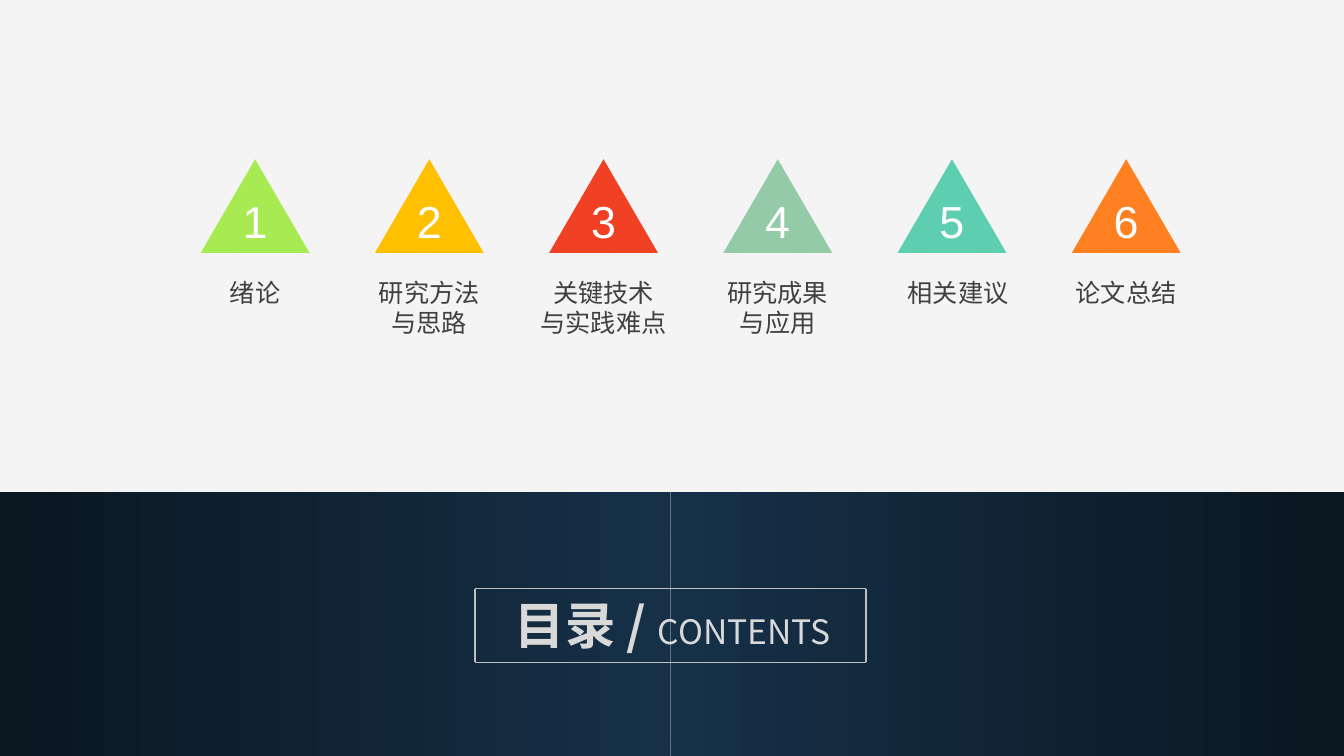
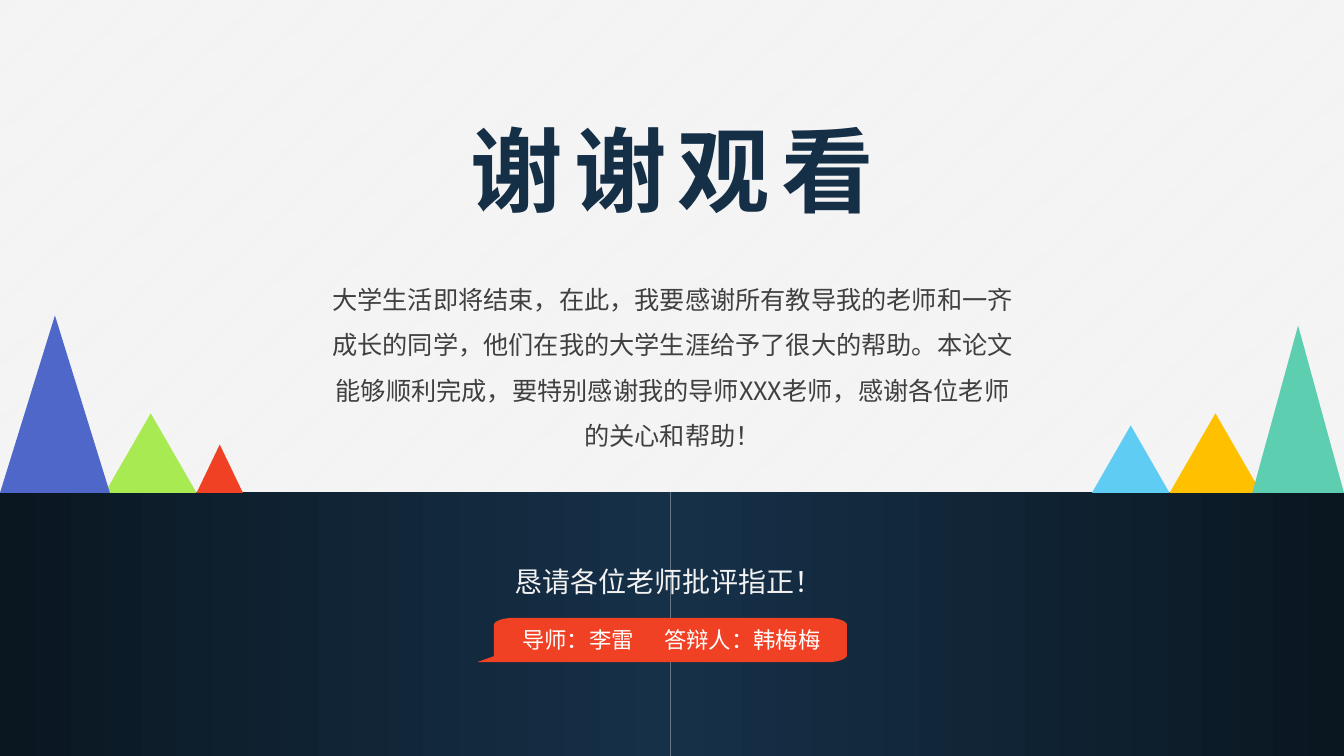
from math import cos, pi, sin

from lxml import etree
from pptx import Presentation
from pptx.dml.color import RGBColor
from pptx.enum.dml import MSO_PATTERN
from pptx.enum.shapes import MSO_CONNECTOR, MSO_SHAPE
from pptx.enum.text import MSO_ANCHOR, MSO_AUTO_SIZE, PP_ALIGN
from pptx.oxml.ns import qn
from pptx.util import Inches, Pt

# Colours, fonts and shared measures
WHITE = RGBColor(0xFF, 0xFF, 0xFF)
PAPER = RGBColor(0xF2, 0xF2, 0xF2)
NAVY = RGBColor(0x16, 0x30, 0x48)
NIGHT = RGBColor(0x0A, 0x17, 0x21)
TITLE_BLUE = RGBColor(0x15, 0x2F, 0x47)
GREY = RGBColor(0x40, 0x40, 0x40)
SILVER = RGBColor(0xD9, 0xD9, 0xD9)
FRAME_GREY = RGBColor(0xBF, 0xBF, 0xBF)
LIME = RGBColor(0xA7, 0xEA, 0x52)
AMBER = RGBColor(0xFF, 0xC0, 0x00)
RED = RGBColor(0xF1, 0x41, 0x24)
SAGE = RGBColor(0x94, 0xCA, 0xA8)
TEAL = RGBColor(0x5D, 0xCE, 0xAF)
ORANGE = RGBColor(0xFF, 0x80, 0x21)
SKY = RGBColor(0x5E, 0xCC, 0xF3)
INDIGO = RGBColor(0x4E, 0x67, 0xC8)

CJK, LATIN = "Noto Sans CJK SC", "Arial"
WIDTH, HEIGHT, BAND_TOP, BAND_SPLIT = 13.33, 7.5, 4.88, 6.65

# Text formats
NUMBER = {"name": LATIN, "size": Pt(32), "color": WHITE}
LABEL = {"name": CJK, "size": Pt(18), "color": GREY}
HEADING = {"name": CJK, "size": Pt(36), "color": SILVER, "bold": True}
SUBHEADING = HEADING | {"size": Pt(24), "bold": False}
THANKS = {"name": CJK, "size": Pt(66), "color": TITLE_BLUE, "bold": True}
REQUEST = {"name": CJK, "size": Pt(20), "color": PAPER}
NAMES = {"name": CJK, "size": Pt(16), "color": WHITE}

# Content: chapter lines, colour, sideways shift of the label
CHAPTERS = [
    (["绪论"], LIME, 0),
    (["研究方法", "与思路"], AMBER, 0),
    (["关键技术", "与实践难点"], RED, 0),
    (["研究成果", "与应用"], SAGE, 0),
    (["相关建议"], TEAL, 0.06),
    (["论文总结"], ORANGE, 0),
]
THANKS_TEXT = (
    "大学生活即将结束，在此，我要感谢所有教导我的老师和一齐成长的同学，"
    "他们在我的大学生涯给予了很大的帮助。本论文能够顺利完成，"
    "要特别感谢我的导师XXX老师，感谢各位老师的关心和帮助！"
)
REQUEST_TEXT = "恳请各位老师批评指正！"
NAMES_TEXT = "导师：李雷\t答辩人：韩梅梅"

# Peaks standing on the band: left, width, height, colour
PEAKS = [
    (1.04, 0.91, 0.79, LIME),
    (10.83, 0.77, 0.67, SKY),
    (0, 1.09, 1.76, INDIGO),
    (1.95, 0.46, 0.48, RED),
    (11.6, 0.91, 0.79, AMBER),
    (12.42, 0.91, 1.66, TEAL),
]


def inches(*lengths):
    return [Inches(length) for length in lengths]


def write(shape, paragraphs, align=PP_ALIGN.CENTER, line_spacing=None):
    """Fill a text shape; each paragraph is a list of (text, format) runs."""
    frame = shape.text_frame
    frame.word_wrap = True
    frame.auto_size = MSO_AUTO_SIZE.NONE
    frame.vertical_anchor = MSO_ANCHOR.TOP
    for index, runs in enumerate(paragraphs):
        paragraph = frame.add_paragraph() if index else frame.paragraphs[0]
        paragraph.alignment = align
        if line_spacing:
            paragraph.line_spacing = line_spacing
        for text, style in runs:
            run = paragraph.add_run()
            run.text = text
            for key, value in style.items():
                if key == "color":
                    run.font.color.rgb = value
                else:
                    setattr(run.font, key, value)
            east_asian = etree.SubElement(run.font._element, qn("a:ea"))
            east_asian.set("typeface", style["name"])
    return shape


def add_text(shapes, at, paragraphs, **layout):
    return write(shapes.add_textbox(*inches(*at)), paragraphs, **layout)


def place_title(slide, at, runs):
    title = slide.shapes.title
    title.left, title.top, title.width, title.height = inches(*at)
    return write(title, [runs])


def paint(shape, color):
    shape.shadow.inherit = False
    shape.line.fill.background()
    shape.fill.solid()
    shape.fill.fore_color.rgb = color


def add_triangle(shapes, at, color):
    paint(shapes.add_shape(MSO_SHAPE.ISOSCELES_TRIANGLE, *inches(*at)), color)


def decorate_master(master, slide):
    """Hatched paper and the two mirrored halves of the dark band."""
    paper = master.background.fill
    paper.patterned()
    paper.pattern = MSO_PATTERN.LIGHT_UPWARD_DIAGONAL
    paper.fore_color.rgb = WHITE
    paper.back_color.rgb = PAPER
    halves = [(0, BAND_SPLIT, 180), (BAND_SPLIT, WIDTH - BAND_SPLIT, 0)]
    for position, (left, width, rotation) in enumerate(halves):
        half = slide.shapes.add_shape(
            MSO_SHAPE.RECTANGLE,
            *inches(left, BAND_TOP, width, HEIGHT - BAND_TOP))
        half.rotation = rotation
        half.shadow.inherit = False
        half.line.fill.background()
        half.fill.gradient()
        half.fill.gradient_angle = 0
        for stop, color in zip(half.fill.gradient_stops, (NAVY, NIGHT)):
            stop.color.rgb = color
        master.shapes._spTree.insert(2 + position, half._element)


def add_frame(shapes, left, top, right, bottom):
    corners = [(left, top), (right, top), (right, bottom), (left, bottom)]
    for start, end in zip(corners, corners[1:] + corners[:1]):
        edge = shapes.add_connector(
            MSO_CONNECTOR.STRAIGHT, *inches(*start, *end))
        edge.line.color.rgb = FRAME_GREY
        edge.line.width = Pt(1)
        etree.SubElement(edge._element.spPr, qn("a:effectLst"))


def add_name_tag(shapes, left, top, right, bottom):
    """Tag with flat rounded corners and a tail at the lower left."""
    radius_x, radius_y, steps = 0.2, 0.07, 8
    corners = [(left + radius_x, top + radius_y, 180),
               (right - radius_x, top + radius_y, 270),
               (right - radius_x, bottom - radius_y, 0)]
    outline = []
    for center_x, center_y, start in corners:
        for step in range(steps + 1):
            angle = (start + 90 * step / steps) * pi / 180
            outline.append((center_x + radius_x * cos(angle),
                            center_y + radius_y * sin(angle)))
    outline += [(left - 0.17, bottom), (left, bottom - 0.06)]
    points = [tuple(inches(*point)) for point in outline]
    builder = shapes.build_freeform(*points[0])
    builder.add_line_segments(points[1:], close=True)
    paint(builder.convert_to_shape(), RED)


def build_contents(slide):
    shapes = slide.shapes
    place_title(slide, (4.86, 5.84, 3.62, 0.71),
                [("目录 / ", HEADING), ("CONTENTS", SUBHEADING)])
    add_frame(shapes, 4.71, 5.84, 8.59, 6.57)

    # Numbered triangles at an equal pitch, each with its label
    first, pitch, side, label_width = 1.99, 1.728, 1.08, 1.7
    for index, (lines, color, shift) in enumerate(CHAPTERS):
        left = first + index * pitch
        center = left + side / 2
        badge = shapes.add_group_shape().shapes
        add_triangle(badge, (left, 1.58, side, 0.93), color)
        add_text(badge, (center - 0.23, 1.87, 0.46, 0.64),
                 [[(str(index + 1), NUMBER)]])
        add_text(shapes,
                 (center - label_width / 2 + shift, 2.7, label_width, 0.71),
                 [[(line, LABEL)] for line in lines])


def build_closing(slide):
    shapes = slide.shapes
    title = place_title(slide, (4.24, 1.07, 4.86, 1.21), [("谢谢观看", THANKS)])
    title.text_frame.paragraphs[0].runs[0].font._element.set("spc", "800")
    add_text(shapes, (3.15, 2.62, 7.04, 1.94), [[(THANKS_TEXT, LABEL)]],
             line_spacing=1.5)
    add_text(shapes, (5, 5.38, 3.33, 0.55), [[(REQUEST_TEXT, REQUEST)]],
             align=PP_ALIGN.LEFT, line_spacing=1.5)

    for left, width, height, color in PEAKS:
        add_triangle(shapes, (left, BAND_TOP + 0.01 - height, width, height),
                     color)

    # Adviser and candidate, set apart by a tab stop
    add_name_tag(shapes, 4.9, 6.13, 8.4, 6.57)
    names = add_text(shapes, (5.08, 6.16, 3.3, 0.37), [[(NAMES_TEXT, NAMES)]],
                     align=PP_ALIGN.LEFT)
    properties = names.text_frame.paragraphs[0]._p.get_or_add_pPr()
    tabs = etree.SubElement(properties, qn("a:tabLst"))
    etree.SubElement(tabs, qn("a:tab"), pos=str(Inches(1.41)), algn="l")


def main():
    deck = Presentation()
    deck.slide_width, deck.slide_height = inches(WIDTH, HEIGHT)
    title_only = deck.slide_layouts[5]
    contents, closing = [deck.slides.add_slide(title_only) for _ in range(2)]
    decorate_master(deck.slide_master, contents)
    build_contents(contents)
    build_closing(closing)
    deck.save("out.pptx")


if __name__ == "__main__":
    main()
